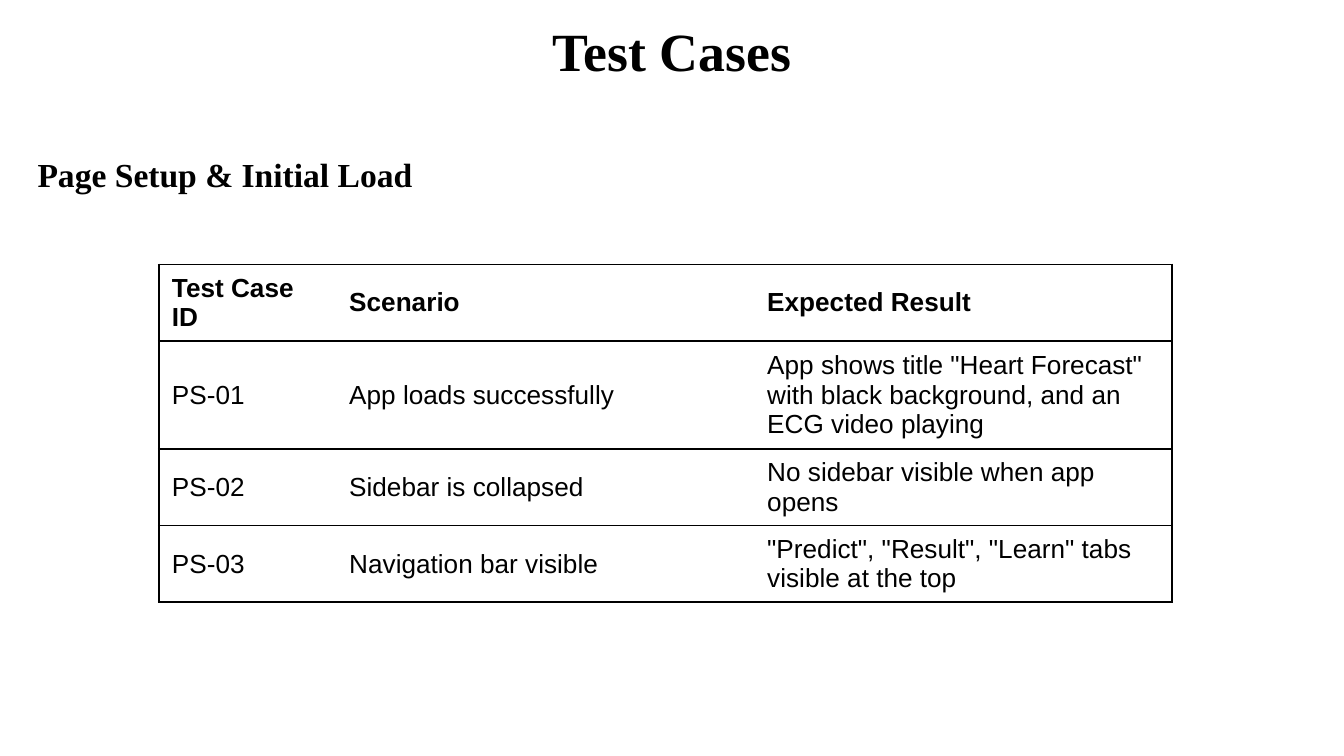
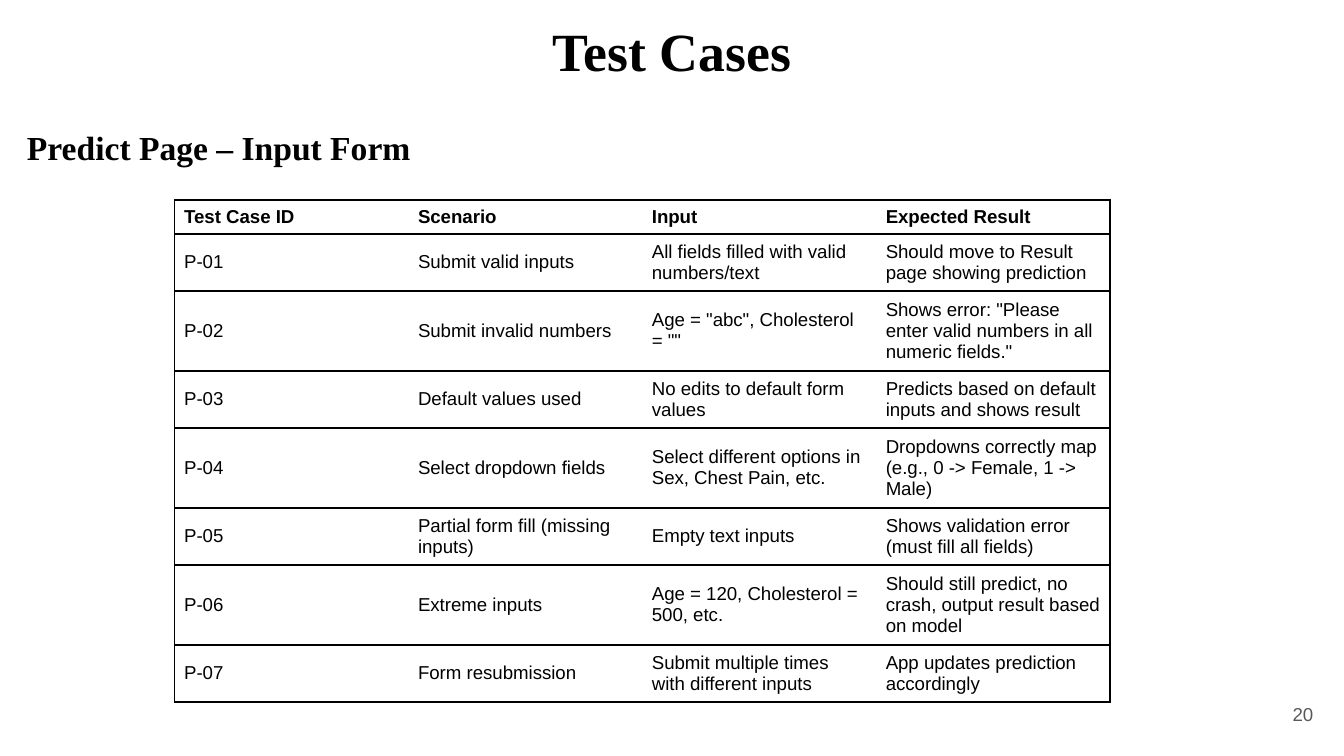
import dataclasses

import lxml.etree
import pptx
import pptx.dml.color
import pptx.enum.text
import pptx.oxml.ns
import pptx.presentation
import pptx.shapes.base
import pptx.slide
import pptx.table
import pptx.text.text
import pptx.util

Cm = pptx.util.Cm
Pt = pptx.util.Pt
Align = pptx.enum.text.PP_ALIGN
Anchor = pptx.enum.text.MSO_ANCHOR

# Shared look
BLACK = "000000"
WHITE = "FFFFFF"
GREY = "595959"
SERIF = "Times New Roman"
SANS = "Arial"
WIDTH, HEIGHT = 25.4, 14.29
INSET = 0.25


@dataclasses.dataclass(frozen=True)
class Style:
    size: float
    font: str = SANS
    bold: bool = False
    tint: str = BLACK


@dataclasses.dataclass(frozen=True)
class Label:
    text: str
    left: float
    top: float
    width: float
    height: float
    style: Style
    align: Align = Align.LEFT
    anchor: Anchor = Anchor.TOP
    spacing: float = 1.0


@dataclasses.dataclass(frozen=True)
class Grid:
    left: float
    top: float
    widths: list[float]
    heights: list[float]
    size: float
    pad_x: float
    pad_y: float
    rows: list[list[str]]


HEAD = Style(18, SERIF, True)
TITLE = Label("Test Cases", 0, 0, WIDTH, 1.8, Style(28.8, SERIF, True),
              Align.CENTER, Anchor.BOTTOM)


def color(code: str) -> pptx.dml.color.RGBColor:
    return pptx.dml.color.RGBColor.from_string(code)


def format_runs(frame: pptx.text.text.TextFrame, style: Style) -> None:
    for para in frame.paragraphs:
        for run in para.runs:
            run.font.size = Pt(style.size)
            run.font.name = style.font
            run.font.bold = style.bold
            run.font.color.rgb = color(style.tint)


def draw_label(slide: pptx.slide.Slide, label: Label) -> None:
    box = slide.shapes.add_textbox(Cm(label.left), Cm(label.top),
                                   Cm(label.width), Cm(label.height))
    frame = box.text_frame
    frame.word_wrap = True
    frame.vertical_anchor = label.anchor
    frame.margin_left = frame.margin_right = Cm(INSET)
    frame.margin_top = frame.margin_bottom = Cm(INSET)
    frame.text = label.text
    frame.paragraphs[0].alignment = label.align
    frame.paragraphs[0].line_spacing = label.spacing
    format_runs(frame, label.style)


def set_edges(cell: pptx.table._Cell, sides: str) -> None:
    """Rule the named sides of a cell and clear the others."""
    qn = pptx.oxml.ns.qn
    props = cell._tc.get_or_add_tcPr()
    for side in "LRTB":
        line = lxml.etree.SubElement(props, qn(f"a:ln{side}"), w=str(Pt(1)))
        if side in sides:
            fill = lxml.etree.SubElement(line, qn("a:solidFill"))
            lxml.etree.SubElement(fill, qn("a:srgbClr"), val=BLACK)
        else:
            lxml.etree.SubElement(line, qn("a:noFill"))


def draw_grid(slide: pptx.slide.Slide, grid: Grid) -> None:
    last = len(grid.widths) - 1
    table = slide.shapes.add_table(
        len(grid.rows), len(grid.widths), Cm(grid.left), Cm(grid.top),
        Cm(sum(grid.widths)), Cm(sum(grid.heights))).table
    table.first_row = table.horz_banding = False
    for column, width in zip(table.columns, grid.widths):
        column.width = Cm(width)
    for row, height in zip(table.rows, grid.heights):
        row.height = Cm(height)

    for i, texts in enumerate(grid.rows):
        for j, text in enumerate(texts):
            cell = table.cell(i, j)
            cell.text_frame.text = text
            cell.vertical_anchor = Anchor.MIDDLE
            cell.margin_left = cell.margin_right = Cm(grid.pad_x)
            cell.margin_top = cell.margin_bottom = Cm(grid.pad_y)
            # Open grid: full row rules, uprights only at the outer edges
            set_edges(cell, "TB" + "L" * (j == 0) + "R" * (j == last))
            cell.fill.solid()
            cell.fill.fore_color.rgb = color(WHITE)
            format_runs(cell.text_frame, Style(grid.size, bold=i == 0))


def add_slide(deck: pptx.presentation.Presentation, head: Label,
              grid: Grid, page: str = "") -> None:
    slide = deck.slides.add_slide(deck.slide_layouts[6])
    slide.background.fill.solid()
    slide.background.fill.fore_color.rgb = color(WHITE)
    draw_label(slide, TITLE)
    draw_label(slide, head)
    if page:
        draw_label(slide, Label(page, 23.55, 12.95, 1.52, 1.09,
                                Style(10, tint=GREY), Align.RIGHT,
                                Anchor.MIDDLE))
    draw_grid(slide, grid)


def main() -> None:
    deck = pptx.Presentation()
    deck.slide_width, deck.slide_height = Cm(WIDTH), Cm(HEIGHT)

    # Page setup cases
    setup = Grid(3, 5, [3.35, 7.9, 7.9], [1.36, 2.04, 1.36, 1.45],
                 14, 0.25, 0.13, [
        ["Test Case ID", "Scenario", "Expected Result"],
        ["PS-01", "App loads successfully",
         'App shows title "Heart Forecast" with black background, '
         'and an ECG video playing'],
        ["PS-02", "Sidebar is collapsed",
         "No sidebar visible when app opens"],
        ["PS-03", "Navigation bar visible",
         '"Predict", "Result", "Learn" tabs visible at the top'],
    ])
    add_slide(deck, Label("Page Setup & Initial Load", 0.46, 2.54, 24.33,
                          9.68, HEAD, spacing=1.15), setup)

    # Input form cases
    one, two, three = 0.64, 1.08, 1.51
    form = Grid(3.3, 3.78, [4.42] * 4, [one, two] + [three, two] * 3,
                10, 0.18, 0.1, [
        ["Test Case ID", "Scenario", "Input", "Expected Result"],
        ["P-01", "Submit valid inputs",
         "All fields filled with valid numbers/text",
         "Should move to Result page showing prediction"],
        ["P-02", "Submit invalid numbers", 'Age = "abc", Cholesterol = ""',
         'Shows error: "Please enter valid numbers in all numeric fields."'],
        ["P-03", "Default values used", "No edits to default form values",
         "Predicts based on default inputs and shows result"],
        ["P-04", "Select dropdown fields",
         "Select different options in Sex, Chest Pain, etc.",
         "Dropdowns correctly map (e.g., 0 -> Female, 1 -> Male)"],
        ["P-05", "Partial form fill (missing inputs)", "Empty text inputs",
         "Shows validation error (must fill all fields)"],
        ["P-06", "Extreme inputs", "Age = 120, Cholesterol = 500, etc.",
         "Should still predict, no crash, output result based on model"],
        ["P-07", "Form resubmission",
         "Submit multiple times with different inputs",
         "App updates prediction accordingly"],
    ])
    add_slide(deck, Label("Predict Page – Input Form", 0.26, 2.04, 24.33,
                          9.68, HEAD, spacing=1.15), form, "20")

    deck.save("out.pptx")


if __name__ == "__main__":
    main()
